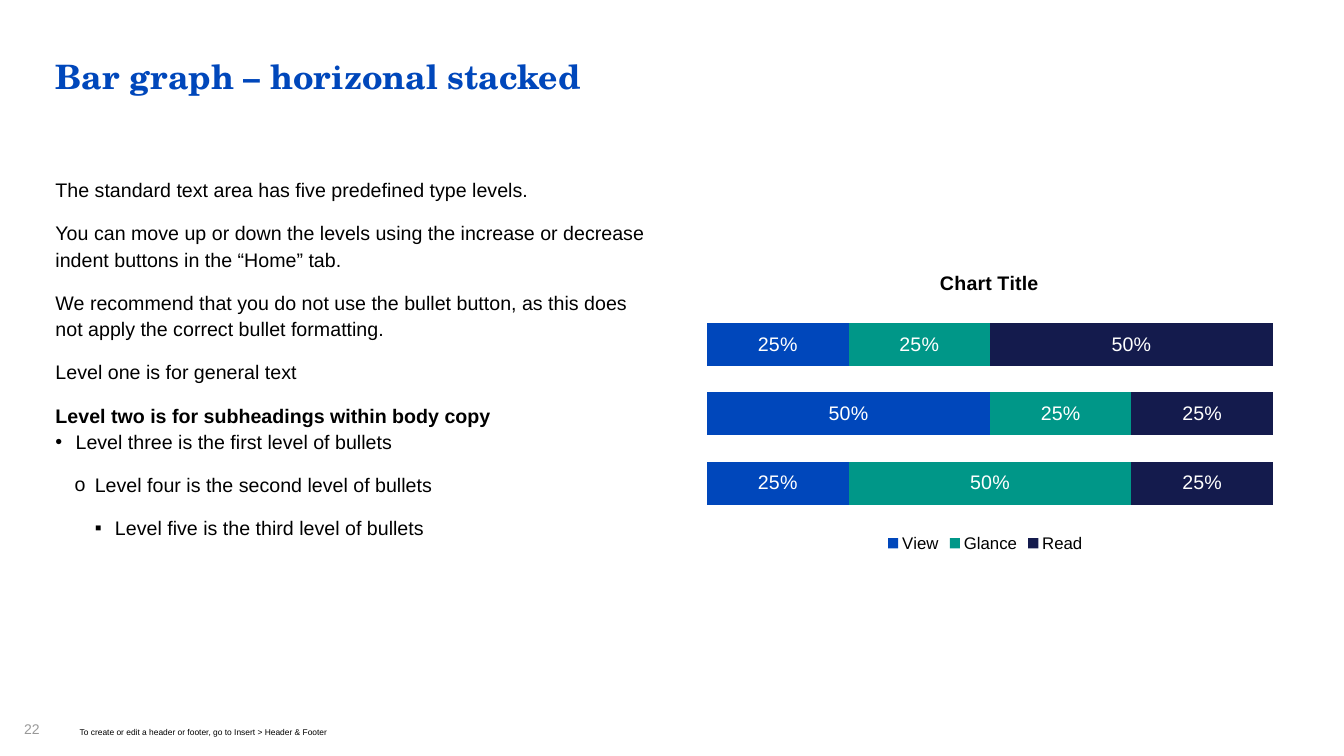
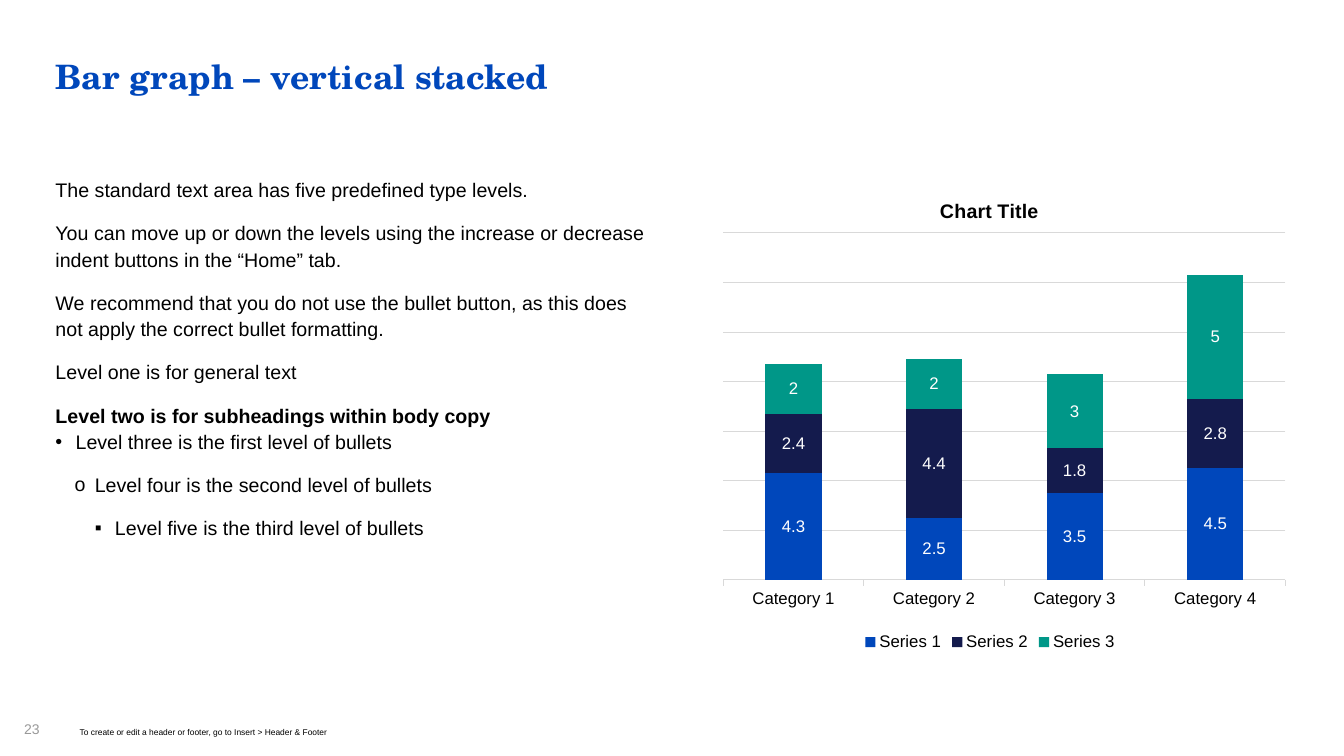
from pptx import Presentation
from pptx.chart.data import CategoryChartData
from pptx.dml.color import RGBColor
from pptx.enum import chart as ch
from pptx.oxml.ns import qn
from pptx.util import Inches, Pt
from lxml import etree

COLORS = {"blue": "0047BB", "teal": "009788", "navy": "141B4D", "black": "000000",
          "white": "FFFFFF", "gray": "999999", "rule": "D9D9D9"}
RGB = {name: RGBColor.from_string(value) for name, value in COLORS.items()}
BODY_FONT, TITLE_FONT = "Arial", "TeX Gyre Schola"
FOOTER = "To create or edit a header or footer, go to Insert > Header & Footer"

# text, bold, space after, left indent, bullet
BODY = [
    ("The standard text area has five predefined type levels.", False, 12, 0, None),
    ("You can move up or down the levels using the increase or decrease indent buttons "
     "in the “Home” tab.", False, 12, 0, None),
    ("We recommend that you do not use the bullet button, as this does not apply the "
     "correct bullet formatting.", False, 12, 0, None),
    ("Level one is for general text", False, 12, 0, None),
    ("Level two is for subheadings within body copy", True, 0, 0, None),
    ("Level three is the first level of bullets", False, 12, 0.2, "•"),
    ("Level four is the second level of bullets", False, 12, 0.39, "o"),
    ("Level five is the third level of bullets", False, 12, 0.59, "▪"),
]

SLIDES = [
    {"title": "Bar graph – horizonal stacked", "page": 22,
     "type": ch.XL_CHART_TYPE.BAR_STACKED_100, "horizontal": True,
     "categories": ["1", "2", "3"],
     "series": [("View", [0.25, 0.5, 0.25], "blue"),
                ("Glance", [0.5, 0.25, 0.25], "teal"),
                ("Read", [0.25, 0.25, 0.5], "navy")],
     "format": "0%", "label_size": 14, "gap": 61,
     "layout": {"title": (0.41, 0.19), "plotArea": (0.026, 0.28, 0.948, 0.434),
                "legend": (0.32, 0.74)}},
    {"title": "Bar graph – vertical stacked", "page": 23,
     "type": ch.XL_CHART_TYPE.COLUMN_STACKED, "horizontal": False,
     "categories": [f"Category {n}" for n in range(1, 5)],
     "series": [("Series 1", [4.3, 2.5, 3.5, 4.5], "blue"),
                ("Series 2", [2.4, 4.4, 1.8, 2.8], "navy"),
                ("Series 3", [2, 2, 3, 5], "teal")],
     "format": "General", "label_size": 12, "gap": 150,
     "layout": {"title": (0.41, 0.04), "plotArea": (0.053, 0.12, 0.942, 0.723)}},
]


def add_text(s, box, paragraphs, size, color, font=BODY_FONT, spacing=0.9):
    """Add a text box; each paragraph is (text, bold, space after, indent, bullet)."""
    tf = s.shapes.add_textbox(*[Inches(v) for v in box]).text_frame
    tf.word_wrap = True
    tf.margin_left = tf.margin_right = tf.margin_top = tf.margin_bottom = 0
    for i, (content, bold, after, indent, bullet) in enumerate(paragraphs):
        p = tf.add_paragraph() if i else tf.paragraphs[0]
        p.text = content
        if bullet:
            pPr = p._p.get_or_add_pPr()
            pPr.set("marL", str(Inches(indent)))
            pPr.set("indent", str(-Inches(0.2)))
            etree.SubElement(pPr, qn("a:buFont")).set("typeface", BODY_FONT)
            etree.SubElement(pPr, qn("a:buChar")).set("char", bullet)
        p.line_spacing = spacing
        p.space_after = Pt(after)
        f = p.runs[0].font
        f.name, f.size, f.bold = font, Pt(size), bold
        f.color.rgb = RGB[color]


def place(chart, part, position):
    """Set a chart part's position (x, y, optional w, h) as fractions of the chart."""
    el = chart.element.xpath(f"./c:chart/c:{part}")[0]
    for old in el.findall(qn("c:layout")):
        el.remove(old)
    layout = etree.Element(qn("c:layout"))
    manual = etree.SubElement(layout, qn("c:manualLayout"))
    settings = [("xMode", "edge"), ("yMode", "edge"), *zip("xywh", position)]
    if part == "plotArea":
        settings.insert(0, ("layoutTarget", "inner"))
    for tag, value in settings:
        etree.SubElement(manual, qn(f"c:{tag}")).set("val", str(value))
    el.insert(0 if part == "plotArea" else 1, layout)


prs = Presentation()
prs.slide_width, prs.slide_height = Inches(13.33), Inches(7.5)

for page in SLIDES:
    s = prs.slides.add_slide(prs.slide_layouts[6])
    add_text(s, (0.55, 0.6, 12.23, 1.02), [(page["title"], True, 0, 0, None)],
             24, "blue", TITLE_FONT)
    add_text(s, (0.55, 1.74, 5.92, 4.76), BODY, 14, "black", spacing=1.12)

    data = CategoryChartData(number_format=page["format"])
    data.categories = page["categories"]
    for name, values, _ in page["series"]:
        data.add_series(name, values)
    chart = s.shapes.add_chart(page["type"], Inches(6.86), Inches(1.74),
                               Inches(5.92), Inches(4.76), data).chart
    chart.font.name, chart.font.size = BODY_FONT, Pt(10)
    chart.font.color.rgb = RGB["black"]

    chart.has_title = True
    p = chart.chart_title.text_frame.paragraphs[0]
    p.text = "Chart Title"
    f = p.runs[0].font
    f.name, f.size, f.bold = BODY_FONT, Pt(14), True
    f.color.rgb = RGB["black"]

    chart.has_legend = True
    chart.legend.position = ch.XL_LEGEND_POSITION.BOTTOM
    chart.legend.include_in_layout = False
    f = chart.legend.font
    f.name, f.size = BODY_FONT, Pt(12)
    f.color.rgb = RGB["black"]

    plot = chart.plots[0]
    plot.gap_width, plot.overlap = page["gap"], 100
    plot.vary_by_categories = False
    for series, (_, _, color) in zip(plot.series, page["series"]):
        series.format.fill.solid()
        series.format.fill.fore_color.rgb = RGB[color]
        labels = series.data_labels
        labels.show_value = True
        labels.position = ch.XL_LABEL_POSITION.CENTER
        labels.number_format, labels.number_format_is_linked = page["format"], False
        labels.font.name, labels.font.size = BODY_FONT, Pt(page["label_size"])
        labels.font.color.rgb = RGB["white"]

    cat, val = chart.category_axis, chart.value_axis
    val.visible = False
    if page["horizontal"]:
        cat.visible = False
        val.has_major_gridlines = False
        val.minimum_scale, val.maximum_scale = 0, 1
    else:
        val.has_major_gridlines = True
        val.minimum_scale, val.maximum_scale, val.major_unit = 0, 14, 2
        cat.major_tick_mark = ch.XL_TICK_MARK.OUTSIDE
        cat.tick_labels.font.name, cat.tick_labels.font.size = BODY_FONT, Pt(12)
        cat.tick_labels.font.color.rgb = RGB["black"]
        for line in (cat.format.line, val.major_gridlines.format.line):
            line.color.rgb = RGB["rule"]
            line.width = Pt(0.75)

    for part, position in page["layout"].items():
        place(chart, part, position)

    add_text(s, (0.24, 7.17, 0.26, 0.33), [(str(page["page"]), False, 0, 0, None)], 10, "gray")
    add_text(s, (0.79, 7.22, 4.82, 0.28), [(FOOTER, False, 0, 0, None)], 6, "black")

prs.save("out.pptx")
